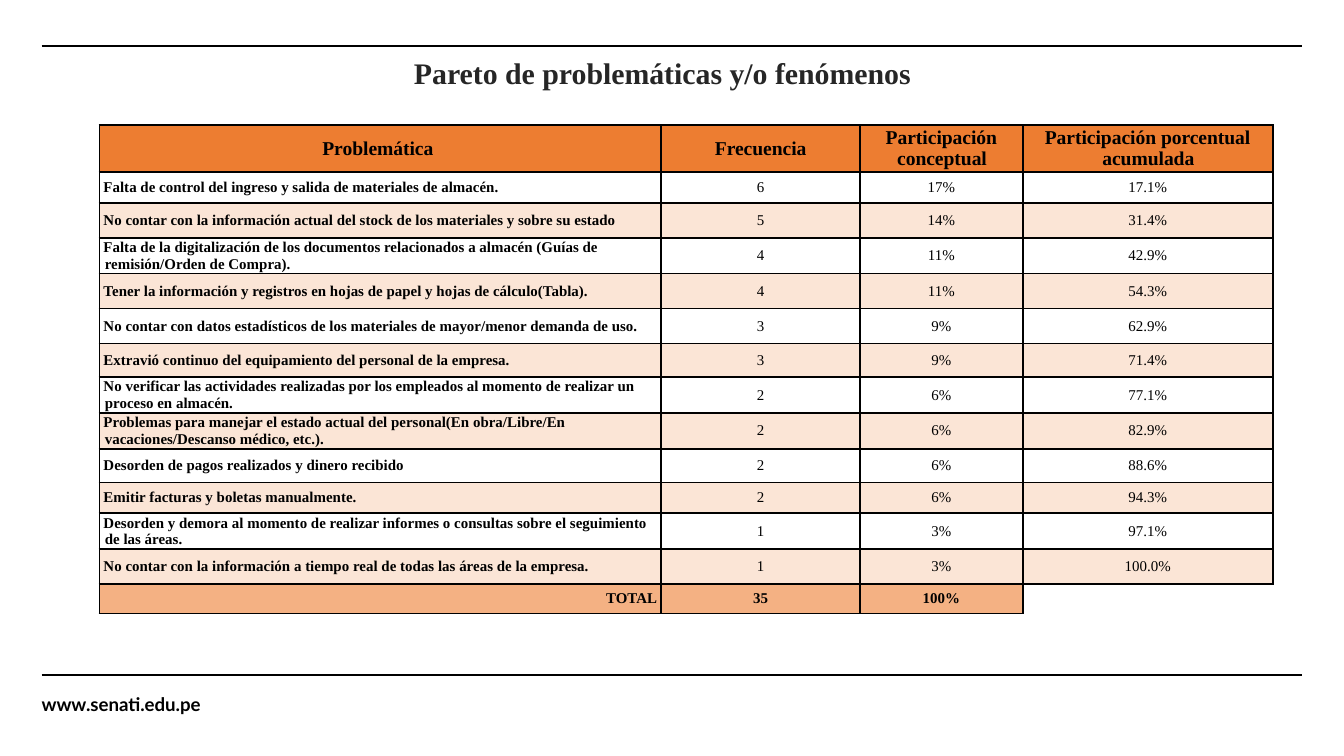
from lxml import etree
from pptx import Presentation
from pptx.dml.color import RGBColor
from pptx.enum.shapes import MSO_CONNECTOR
from pptx.enum.text import MSO_ANCHOR, MSO_AUTO_SIZE, PP_ALIGN
from pptx.oxml.ns import qn
from pptx.util import Inches, Pt

LEFT, CENTER, RIGHT = PP_ALIGN.LEFT, PP_ALIGN.CENTER, PP_ALIGN.RIGHT
TOP, MIDDLE = MSO_ANCHOR.TOP, MSO_ANCHOR.MIDDLE
STRAIGHT = MSO_CONNECTOR.STRAIGHT
FIT_SHAPE, NO_FIT = MSO_AUTO_SIZE.SHAPE_TO_FIT_TEXT, MSO_AUTO_SIZE.NONE


def rgb(value):
    return RGBColor.from_string(value)


def write(tf, text, size=8, font="Times New Roman", color="000000",
          bold=True, align=LEFT, spacing=1.0):
    p = tf.paragraphs[0]
    p.alignment = align
    p.line_spacing = spacing
    p.space_before = Pt(0)
    if not text:
        etree.SubElement(p._p, qn("a:endParaRPr"), sz=str(size * 100))
        return p
    r = p.add_run()
    r.text = text
    r.font.size = Pt(size)
    r.font.name = font
    r.font.bold = bold
    r.font.color.rgb = rgb(color)
    return p


# Widescreen slide, 16:9
prs = Presentation()
prs.slide_width = Inches(10)
prs.slide_height = Inches(10) * 9 // 16
s = prs.slides.add_slide(prs.slide_layouts[5])

# Rules at top and bottom
for y in (0.34, 5.02):
    line = s.shapes.add_connector(STRAIGHT, Inches(0.31), Inches(y),
                                  Inches(9.69), Inches(y))
    line.line.color.rgb = rgb("000000")
    line.line.width = Pt(1)
    etree.SubElement(line._element.spPr, qn("a:effectLst"))

# Title and footer address
title = s.shapes.title
title.left, title.top = Inches(3.08), Inches(0.44)
title.width, title.height = Inches(3.78), Inches(0.32)
footer = s.shapes.add_textbox(Inches(0.31), Inches(5.19), Inches(1.28), Inches(0.13))
for sp, fit in ((title, NO_FIT), (footer, FIT_SHAPE)):
    tf = sp.text_frame
    tf.margin_left = tf.margin_right = tf.margin_top = tf.margin_bottom = 0
    tf.vertical_anchor = TOP
    tf.word_wrap = True
    tf.auto_size = fit
write(title.text_frame, "Pareto de problemáticas y/o fenómenos", size=16,
      color="262626", spacing=0.9)
write(footer.text_frame, "www.senati.edu.pe", size=10, font="Lato", spacing=0.8)

# Table contents: shares follow from the frequencies
problems = [
    ("Falta de control del ingreso y salida de materiales de almacén.", 6),
    ("No contar con la información actual del stock de los materiales y sobre su estado", 5),
    ("Falta de la digitalización de los documentos relacionados a almacén "
     "(Guías de remisión/Orden de Compra).", 4),
    ("Tener la información y registros en hojas de papel y hojas de cálculo(Tabla).", 4),
    ("No contar con datos estadísticos de los materiales de mayor/menor demanda de uso.", 3),
    ("Extravió continuo del equipamiento del personal de la empresa.", 3),
    ("No verificar las actividades realizadas por los empleados al momento de "
     "realizar un proceso en almacén.", 2),
    ("Problemas para manejar el estado actual del personal(En obra/Libre/En "
     "vacaciones/Descanso médico, etc.).", 2),
    ("Desorden de pagos realizados y dinero recibido", 2),
    ("Emitir facturas y boletas manualmente.", 2),
    ("Desorden y demora al momento de realizar informes o consultas sobre el "
     "seguimiento de las áreas.", 1),
    ("No contar con la información a tiempo real de todas las áreas de la empresa.", 1),
]
total = sum(count for _, count in problems)
rows = [("Problemática ", "Frecuencia", "Participación conceptual",
         "Participación porcentual acumulada")]
running = 0
for problem, count in problems:
    running += count
    rows.append((problem, str(count), f"{count / total:.0%}", f"{running / total:.1%}"))
rows.append(("TOTAL", str(total), "100%", ""))

# Table grid
widths = [4.18, 1.48, 1.21, 1.86]
heights = [0.3, 0.23, 0.26, 0.26, 0.26, 0.26, 0.25, 0.26, 0.26, 0.25, 0.23, 0.26, 0.26, 0.22]
table = s.shapes.add_table(len(rows), len(widths), Inches(0.74), Inches(0.93),
                           Inches(sum(widths)), Inches(sum(heights))).table
table.first_row = table.horz_banding = False
for column, width in zip(table.columns, widths):
    column.width = Inches(width)
for row, height in zip(table.rows, heights):
    row.height = Inches(height)

# Cells
last = len(rows) - 1
for i, values in enumerate(rows):
    for j, text in enumerate(values):
        cell = table.cell(i, j)
        cell.margin_left = cell.margin_right = Inches(0.03)
        cell.margin_top = cell.margin_bottom = 0
        cell.vertical_anchor = MIDDLE
        header, footing = i == 0, i == last
        align = CENTER if header or j else RIGHT if footing else LEFT
        p = write(cell.text_frame, text, size=10.5 if header else 8,
                  bold=header or footing or j == 0, align=align)
        pPr = p._p.get_or_add_pPr()
        pPr.set("marL", str(Inches(0.01)))
        pPr.set("indent", str(Inches(-0.01)))

        # The empty corner keeps only the borders it shares
        tcPr = cell._tc.get_or_add_tcPr()
        for side in "LRTB":
            ln = etree.SubElement(tcPr, qn(f"a:ln{side}"), w=str(Pt(1)))
            if text or side in "LT":
                fill = etree.SubElement(ln, qn("a:solidFill"))
                etree.SubElement(fill, qn("a:srgbClr"), val="000000")
            else:
                etree.SubElement(ln, qn("a:noFill"))

        color = "ED7D31" if header else "F4B183" if footing else "FBE5D6"
        if text and (header or footing or i % 2 == 0):
            cell.fill.solid()
            cell.fill.fore_color.rgb = rgb(color)
        else:
            cell.fill.background()

prs.save("out.pptx")
